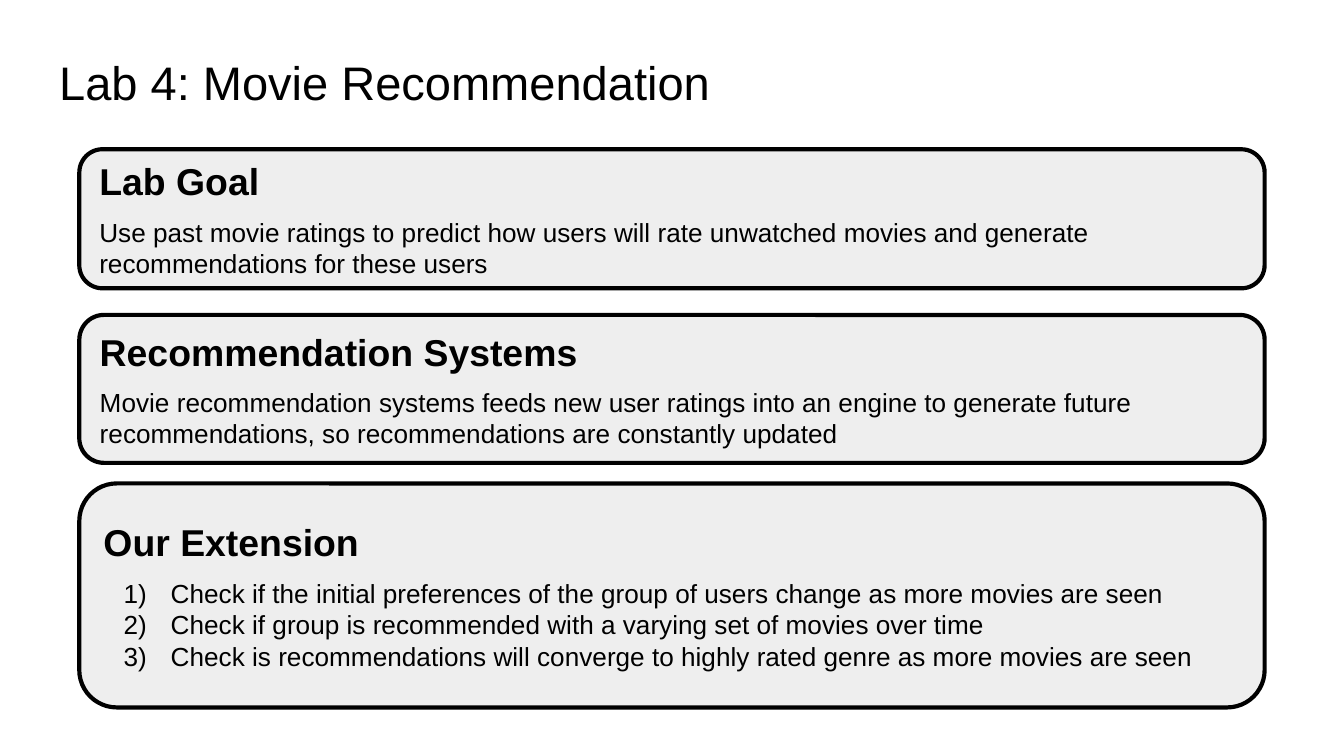
from dataclasses import dataclass

from lxml import etree
from pptx import Presentation
from pptx.dml.color import RGBColor
from pptx.enum import shapes, text
from pptx.oxml import ns
from pptx.util import Pt


@dataclass(frozen=True)
class Theme:
    font: str = "Arial"
    ink: RGBColor = RGBColor(0x00, 0x00, 0x00)
    panel: RGBColor = RGBColor(0xEE, 0xEE, 0xEE)
    title_size: float = 25.2
    heading_size: float = 20
    body_size: float = 14
    border: float = 2.25
    inset: float = 7.2
    heading_gap: float = 6.9


@dataclass(frozen=True)
class Section:
    heading: str
    lines: tuple[str, ...]
    top: float
    height: float
    numbered: bool = False


THEME = Theme()
SECTION_LEFT, SECTION_WIDTH = 42.5, 635
SECTIONS = (
    Section("Lab Goal", (
        "Use past movie ratings to predict how users will rate unwatched movies "
        "and generate recommendations for these users",
    ), 80, 74.5),
    Section("Recommendation Systems", (
        "Movie recommendation systems feeds new user ratings into an engine to "
        "generate future recommendations, so recommendations are constantly updated",
    ), 168.75, 79.25),
    Section("Our Extension", (
        "Check if the initial preferences of the group of users change as more movies are seen",
        "Check if group is recommended with a varying set of movies over time",
        "Check is recommendations will converge to highly rated genre as more movies are seen",
    ), 259, 120, numbered=True),
)


def add_run(paragraph, words: str, size: float, bold: bool = False) -> None:
    paragraph.alignment = text.PP_ALIGN.LEFT
    run = paragraph.add_run()
    run.text = words
    run.font.name = THEME.font
    run.font.size = Pt(size)
    run.font.bold = bold
    run.font.color.rgb = THEME.ink


def set_frame(frame, anchor) -> None:
    frame.word_wrap = True
    frame.auto_size = text.MSO_AUTO_SIZE.NONE
    frame.vertical_anchor = anchor
    frame.margin_left = frame.margin_right = Pt(THEME.inset)
    frame.margin_top = frame.margin_bottom = Pt(THEME.inset)


def number_paragraph(paragraph) -> None:
    """Give the paragraph a hanging indent and automatic 1), 2), 3) numbering."""
    properties = paragraph._p.get_or_add_pPr()
    properties.set("marL", str(Pt(36)))
    properties.set("indent", str(-Pt(25.2)))
    numbering = etree.SubElement(properties, ns.qn("a:buAutoNum"))
    numbering.set("type", "arabicParenR")


def add_title(slide, words: str) -> None:
    title = slide.shapes.title
    title.left, title.top = Pt(24.5), Pt(21)
    title.width, title.height = Pt(671), Pt(45.25)
    set_frame(title.text_frame, text.MSO_ANCHOR.BOTTOM)
    add_run(title.text_frame.paragraphs[0], words, THEME.title_size)


def add_section(slide, section: Section) -> None:
    panel = slide.shapes.add_shape(
        shapes.MSO_SHAPE.ROUNDED_RECTANGLE,
        Pt(SECTION_LEFT), Pt(section.top), Pt(SECTION_WIDTH), Pt(section.height))
    panel.adjustments[0] = 0.167
    panel.shadow.inherit = False
    panel.fill.solid()
    panel.fill.fore_color.rgb = THEME.panel
    panel.line.color.rgb = THEME.ink
    panel.line.width = Pt(THEME.border)

    frame = panel.text_frame
    set_frame(frame, text.MSO_ANCHOR.MIDDLE)
    heading = frame.paragraphs[0]
    heading.space_after = Pt(THEME.heading_gap)
    add_run(heading, section.heading, THEME.heading_size, bold=True)
    for line in section.lines:
        paragraph = frame.add_paragraph()
        add_run(paragraph, line, THEME.body_size)
        if section.numbered:
            number_paragraph(paragraph)


def main() -> None:
    deck = Presentation()
    deck.slide_width, deck.slide_height = Pt(720), Pt(405)
    slide = deck.slides.add_slide(deck.slide_layouts.get_by_name("Title Only"))
    add_title(slide, "Lab 4: Movie Recommendation")
    for section in SECTIONS:
        add_section(slide, section)
    deck.save("out.pptx")


if __name__ == "__main__":
    main()
